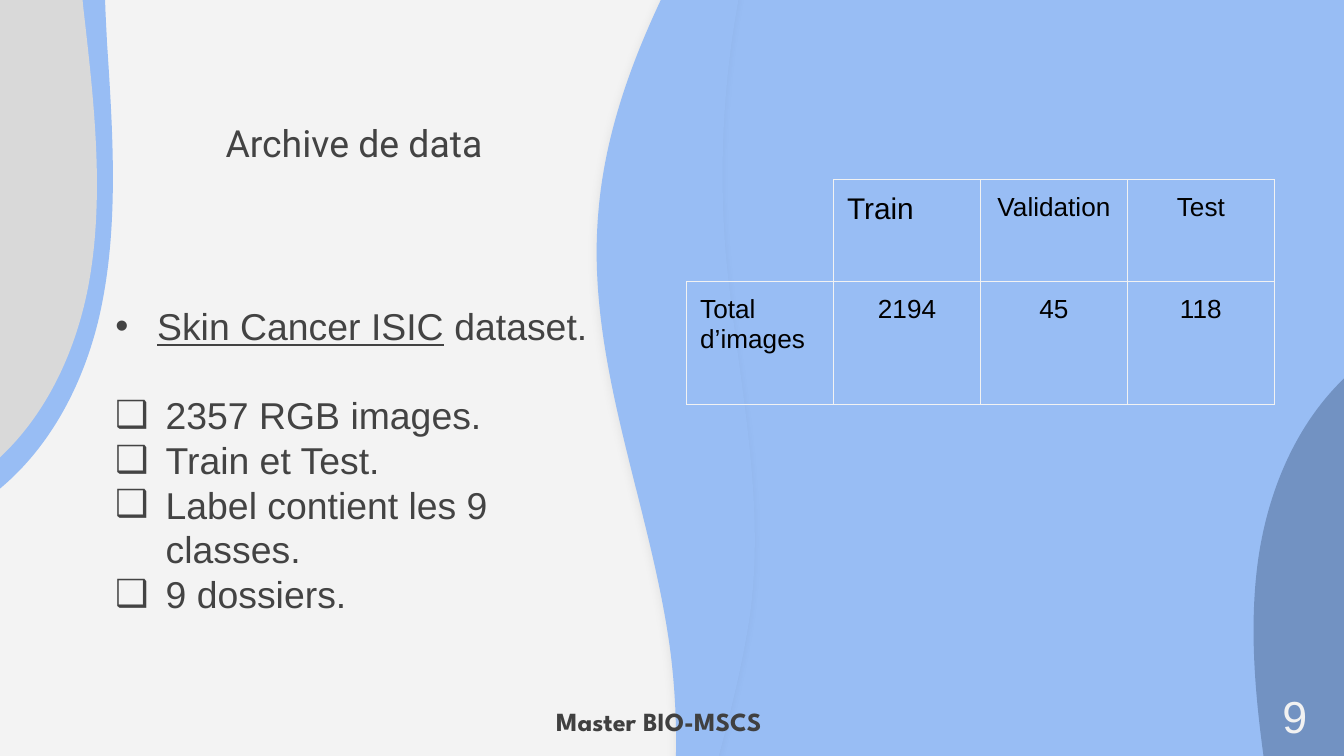
"""Build the slide that presents the skin image data set and its split."""
from math import cos, radians, sin

from lxml.etree import SubElement
from pptx import Presentation
from pptx.dml.color import RGBColor
from pptx.enum.shapes import MSO_SHAPE as Shape
from pptx.enum.text import MSO_ANCHOR as Anchor, PP_ALIGN as Align
from pptx.oxml.ns import qn
from pptx.util import Pt

BLUE, SLATE, GREY, PAPER = "98BDF4", "7292C2", "D9D9D9", "F3F3F3"
INK, FOOTER_INK, PALE, BLACK = "434343", "404040", "F2F2F2", "000000"

WAVE = [
    (28.1, -288.3),
    (5.1, -222.1, -3.6, -150.1, 2.2, -79.5),
    (8, -16.2, 23.8, 49.4, 15.2, 113.4),
    (6.5, 172.5, -15.1, 228.6, -25.9, 287.7),
    (-36, 274),
    (-24.4, 228.6, -21.6, 181.8, -27.3, 135),
    (-37.4, 55.8, -72.7, -20.5, -66.2, -100.4),
    (-61.9, -157.3, -37.4, -209.8, -9.3, -261),
    (28.1, -288.3),
]
BLOB = [
    (34.6, -158),
    (-13, -120.6),
    (-12.2, -114.8, -11.5, -109.1, -10.8, -102.6),
    (-9.4, -86, -11.5, -69.5, -14.4, -52.9),
    (-22.3, -14, -35.3, 22.7, -54, 57.2),
    (-58.3, 65.9, -63.4, 74.5, -68.4, 83.9),
    (-16.6, 149.4),
    (13, 125.6, 31, 88.9, 38.2, 50),
    (46.8, 2.5, 41, -47.9, 35.3, -97.6),
    (33.8, -113.4, 31.7, -129.2, 33.1, -144.4),
    (33.1, -149.4, 33.8, -153.7, 34.6, -158),
]
WAVE_ANGLE, BLOB_ANGLE = 62.4, 335.9
BLOBS = [(-79.2, -11.5, 338.7, BLUE), (-87.1, -28.1, BLOB_ANGLE, GREY), (617.8, 218.9, 153.3, SLATE)]

FACTS = [
    ("2357 RGB images.", Align.JUSTIFY),
    ("Train et Test.", Align.JUSTIFY),
    ("Label contient les 9 classes.", Align.LEFT),
    ("9 dossiers.", Align.LEFT),
]
SPLIT = [["", "Train", "Validation", "Test"], ["Total d’images", "2194", "45", "118"]]
ROW_HEIGHTS = [54.7, 65.9]
COLUMN_WIDTH = 78.7


def colour(value):
    """Return the colour for a hex string."""
    return RGBColor.from_string(value)


def paint(shape, fill):
    """Give a shape a flat fill with no line and no shadow."""
    shape.shadow.inherit = False
    shape.fill.solid()
    shape.fill.fore_color.rgb = colour(fill)
    shape.line.fill.background()


def add_outline(slide, outline, angle, box, rotation, fill):
    """Draw lines and cubic curves, listed about their centre at an angle, in a rotated box."""
    left, top, width, height = map(Pt, box)
    c, s = cos(radians(angle)), sin(radians(angle))
    segments = [
        [
            (width // 2 + Pt(x * c + y * s), height // 2 + Pt(y * c - x * s))
            for x, y in zip(segment[::2], segment[1::2])
        ]
        for segment in outline
    ]
    builder = slide.shapes.build_freeform(*segments[0][0])
    builder.add_line_segments([segment[-1] for segment in segments[1:]], close=True)
    shape = builder.convert_to_shape()
    shape.left, shape.top, shape.width, shape.height = left, top, width, height
    shape.rotation = rotation
    track = shape._element.spPr.find(".//" + qn("a:path"))
    track.set("w", str(width))
    track.set("h", str(height))
    for step, points in zip(list(track), segments):
        if len(points) == 3:
            step.tag = qn("a:cubicBezTo")
        for point in list(step):
            step.remove(point)
        for x, y in points:
            SubElement(step, qn("a:pt"), x=str(x), y=str(y))
    paint(shape, fill)
    return shape


def add_soft_shadow(shape):
    """Add a faint shadow that falls to the lower left."""
    effects = shape._element.spPr.find(qn("a:effectLst"))
    shadow = SubElement(effects, qn("a:outerShdw"), blurRad=str(Pt(4.5)),
                        dist=str(Pt(1.5)), dir=str(139 * 60000), rotWithShape="0")
    black = SubElement(shadow, qn("a:srgbClr"), val=BLACK)
    SubElement(black, qn("a:alpha"), val="6000")


def style(paragraph, size, ink, font="Arial", align=Align.CENTER, bold=False):
    """Set the alignment of a paragraph and the look of its runs."""
    paragraph.alignment = align
    for target in [paragraph, *paragraph.runs]:
        target.font.size = Pt(size)
        target.font.name = font
        target.font.bold = bold
        target.font.color.rgb = colour(ink)


def add_frame(slide, box, inset=7.2, anchor=Anchor.TOP):
    """Add a wrapping text box and return its text frame."""
    frame = slide.shapes.add_textbox(*map(Pt, box)).text_frame
    frame.word_wrap = True
    frame.vertical_anchor = anchor
    frame.margin_left = frame.margin_right = Pt(7.2)
    frame.margin_top = frame.margin_bottom = Pt(inset)
    return frame


def add_label(slide, text, box, size, ink, font="Arial", bold=False, **layout):
    """Add a single centred line of text."""
    frame = add_frame(slide, box, **layout)
    frame.text = text
    style(frame.paragraphs[0], size, ink, font, bold=bold)


def add_bullet(paragraph, mark, left, hanging):
    """Give a paragraph a coloured bullet and a hanging indent."""
    properties = paragraph._p.get_or_add_pPr()
    properties.set("marL", str(Pt(left)))
    properties.set("indent", str(Pt(-hanging)))
    tint = SubElement(properties, qn("a:buClr"))
    SubElement(tint, qn("a:srgbClr"), val=INK)
    SubElement(properties, qn("a:buFont"), typeface="Arial")
    SubElement(properties, qn("a:buChar"), char=mark)


def add_facts(slide):
    """Write the data set name and the list of facts about it."""
    frame = add_frame(slide, (46.1, 155.3, 295.2, 193))
    heading = frame.paragraphs[0]
    for text in ("Skin Cancer ISIC", " dataset."):
        heading.add_run().text = text
    add_bullet(heading, "•", 31, 22.3)
    heading.space_after = Pt(23.5)
    style(heading, 20, INK, align=Align.JUSTIFY)
    heading.runs[0].font.underline = True
    for text, align in FACTS:
        paragraph = frame.add_paragraph()
        paragraph.text = text
        add_bullet(paragraph, "❑", 35.6, 27)
        style(paragraph, 20, INK, align=align)


def set_borders(cell, visible):
    """Draw the named sides of a cell and hide the others."""
    properties = cell._tc.get_or_add_tcPr()
    for position, side in enumerate(("lnL", "lnR", "lnT", "lnB")):
        line = properties.makeelement(qn("a:" + side), {"w": str(Pt(0.75))})
        properties.insert(position, line)
        if side in visible:
            fill = SubElement(line, qn("a:solidFill"))
            SubElement(fill, qn("a:srgbClr"), val=PALE)
        else:
            SubElement(line, qn("a:noFill"))


def add_split_table(slide):
    """Add the table of image counts for each part of the data."""
    box = (367.9, 96.2, COLUMN_WIDTH * 4, sum(ROW_HEIGHTS))
    table = slide.shapes.add_table(2, 4, *map(Pt, box)).table
    table.first_row = table.horz_banding = False
    for column in table.columns:
        column.width = Pt(COLUMN_WIDTH)
    for r, (height, texts) in enumerate(zip(ROW_HEIGHTS, SPLIT)):
        table.rows[r].height = Pt(height)
        for c, text in enumerate(texts):
            cell = table.cell(r, c)
            cell.text = text
            cell.fill.background()
            cell.margin_left = cell.margin_right = Pt(7.2)
            cell.margin_top = cell.margin_bottom = Pt(7.2)
            align = Align.LEFT if c == 0 or text == "Train" else Align.CENTER
            style(cell.text_frame.paragraphs[0], 16 if text == "Train" else 14, BLACK, align=align)
            set_borders(cell, ("lnL", "lnR", "lnT", "lnB") if text else ("lnR", "lnB"))


def main():
    """Build and save the slide."""
    presentation = Presentation()
    presentation.slide_width, presentation.slide_height = Pt(720), Pt(405)
    slide = presentation.slides.add_slide(presentation.slide_layouts[6])
    slide.background.fill.solid()
    slide.background.fill.fore_color.rgb = colour(PAPER)
    panel = slide.shapes.add_shape(Shape.RECTANGLE, *map(Pt, (382.3, -1.4, 343.4, 406.4)))
    paint(panel, BLUE)
    add_soft_shadow(add_outline(slide, WAVE, WAVE_ANGLE, (144, 56.9, 485.3, 317.5), WAVE_ANGLE, BLUE))
    for left, top, rotation, fill in BLOBS:
        add_outline(slide, BLOB, BLOB_ANGLE, (left, top, 193, 260), rotation, fill)
    add_label(slide, "Archive de data", (76.3, 42.5, 226.8, 53.3), 20, INK, "Roboto", anchor=Anchor.BOTTOM)
    add_facts(slide)
    add_split_table(slide)
    add_label(slide, "9", (667.4, 315, 52.6, 90), 24, PALE, anchor=Anchor.BOTTOM)
    add_label(slide, "Master BIO-MSCS", (163.4, 374.4, 379.4, 28.8), 14, FOOTER_INK,
              "League Spartan", bold=True, inset=3.6)
    presentation.save("out.pptx")


if __name__ == "__main__":
    main()
